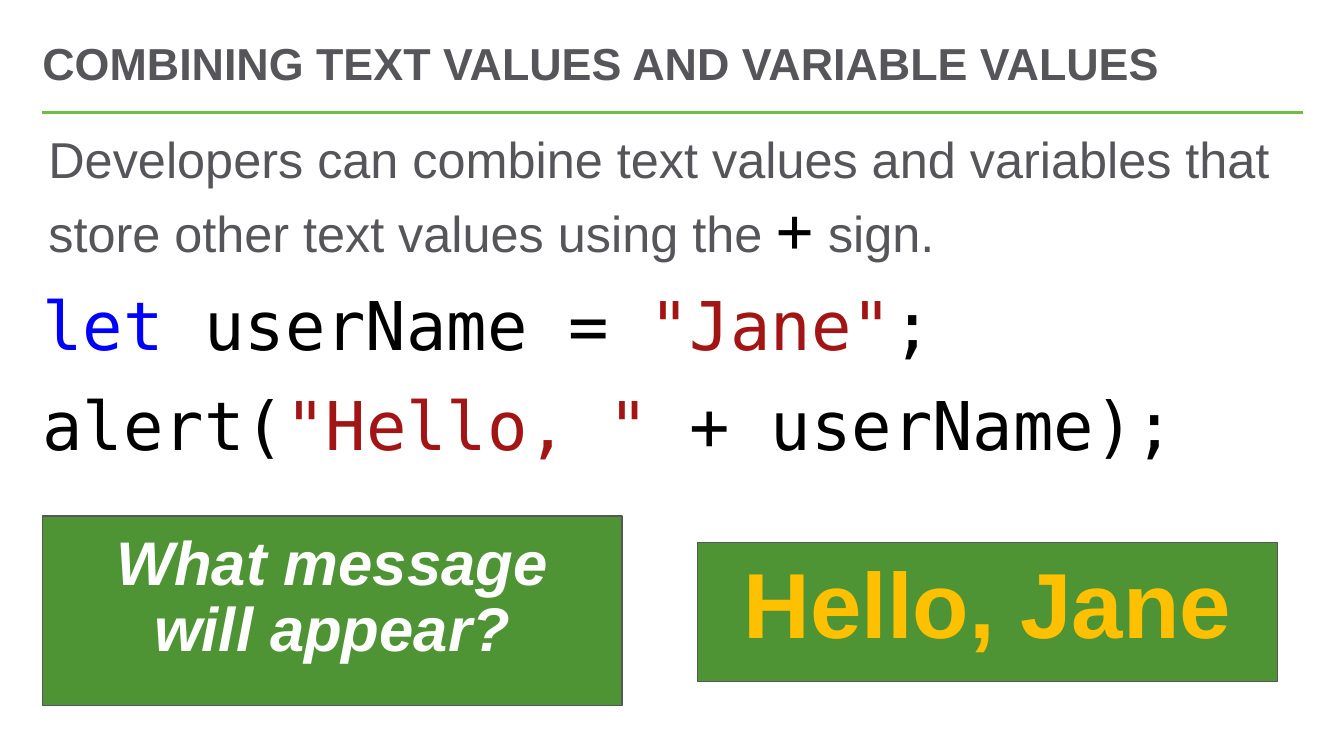
from lxml import etree
from pptx import Presentation
from pptx.dml.color import RGBColor
from pptx.enum import shapes, text
from pptx.oxml import ns
from pptx.util import Inches, Pt

GRAY = RGBColor(0x56, 0x56, 0x5A)
LIME = RGBColor(0x6C, 0xBE, 0x45)
GREEN = RGBColor(0x4E, 0x93, 0x34)
GOLD = RGBColor(0xFF, 0xC0, 0x00)
WHITE = RGBColor(0xFF, 0xFF, 0xFF)
BLACK = RGBColor(0x00, 0x00, 0x00)
BLUE = RGBColor(0x00, 0x00, 0xFF)
RED = RGBColor(0xA3, 0x15, 0x15)
SANS, MONO = "Arial", "DejaVu Sans Mono"
LEFT, WIDE = 0.42, 12.5


def style(font, name, size, color, bold=False, italic=False):
    font.name, font.size = name, Pt(size)
    font.color.rgb = color
    font.bold, font.italic = bold, italic


def set_frame(frame, anchor, insets):
    frame.word_wrap = True
    frame.vertical_anchor = anchor
    (frame.margin_left, frame.margin_top,
     frame.margin_right, frame.margin_bottom) = [Inches(n) for n in insets]
    return frame


def add_box(slide, top, height, anchor, insets):
    box = slide.shapes.add_textbox(
        Inches(LEFT), Inches(top), Inches(WIDE), Inches(height))
    return set_frame(box.text_frame, anchor, insets)


def add_title(slide, words):
    frame = add_box(slide, 0.25, 0.75, text.MSO_ANCHOR.MIDDLE, (0, 0.05, 0, 0))
    para = frame.paragraphs[0]
    para.text = words
    para.line_spacing = 0.9
    style(para.font, SANS, 32, GRAY, bold=True)


def add_rule(slide, y):
    rule = slide.shapes.add_connector(
        shapes.MSO_CONNECTOR.STRAIGHT,
        Inches(LEFT), Inches(y), Inches(LEFT + WIDE), Inches(y))
    rule.line.color.rgb = LIME
    rule.line.width = Pt(2.25)
    etree.SubElement(rule._element.spPr, ns.qn("a:effectLst"))


def add_body(slide, lines):
    """Each line is a list of (words, font, size, color) runs."""
    frame = add_box(slide, 1.25, 5.75, text.MSO_ANCHOR.TOP, (0, 0, 0, 0))
    for i, line in enumerate(lines):
        para = frame.add_paragraph() if i else frame.paragraphs[0]
        para.space_after = Pt(12)
        para.line_spacing = 1.03
        for words, *look in line:
            run = para.add_run()
            run.text = words
            style(run.font, *look)
    # Indent the lead sentence slightly
    frame.paragraphs[0]._p.get_or_add_pPr().set("marL", str(Inches(0.06)))


def add_panel(slide, left, top, height, words, size, color, italic=False):
    panel = slide.shapes.add_shape(
        shapes.MSO_SHAPE.RECTANGLE,
        Inches(left), Inches(top), Inches(5.75), Inches(height))
    panel.shadow.inherit = False
    panel.fill.solid()
    panel.fill.fore_color.rgb = GREEN
    panel.line.color.rgb = GRAY
    panel.line.width = Pt(1)
    frame = set_frame(panel.text_frame, text.MSO_ANCHOR.TOP,
                      (0.2, 0.16, 0.2, 0.16))
    para = frame.paragraphs[0]
    para.text = words
    para.alignment = text.PP_ALIGN.CENTER
    para.line_spacing = 0.9
    style(para.font, SANS, size, color, bold=True, italic=italic)


def code(words, color=BLACK):
    return words, MONO, 48, color


def main():
    deck = Presentation()
    deck.slide_width, deck.slide_height = Inches(13.33), Inches(7.5)
    slide = deck.slides.add_slide(deck.slide_layouts[6])

    # Heading
    add_rule(slide, 1.12)
    add_title(slide, "COMBINING TEXT VALUES AND VARIABLE VALUES")

    # Explanation and code sample
    add_body(slide, [
        [("Developers can combine text values and variables that store "
          "other text values using the ", SANS, 36, GRAY),
         ("+", MONO, 44, BLACK),
         (" sign.", SANS, 36, GRAY)],
        [code("let", BLUE), code(" userName = "),
         code('"Jane"', RED), code(";")],
        [code("alert("), code('"Hello, "', RED), code(" + userName);")],
    ])

    # Question and answer
    add_panel(slide, LEFT, 5.12, 1.88, "What message will appear?",
              44, WHITE, italic=True)
    add_panel(slide, 6.92, 5.38, 1.38, "Hello, Jane", 66, GOLD)

    deck.save("out.pptx")


if __name__ == "__main__":
    main()
